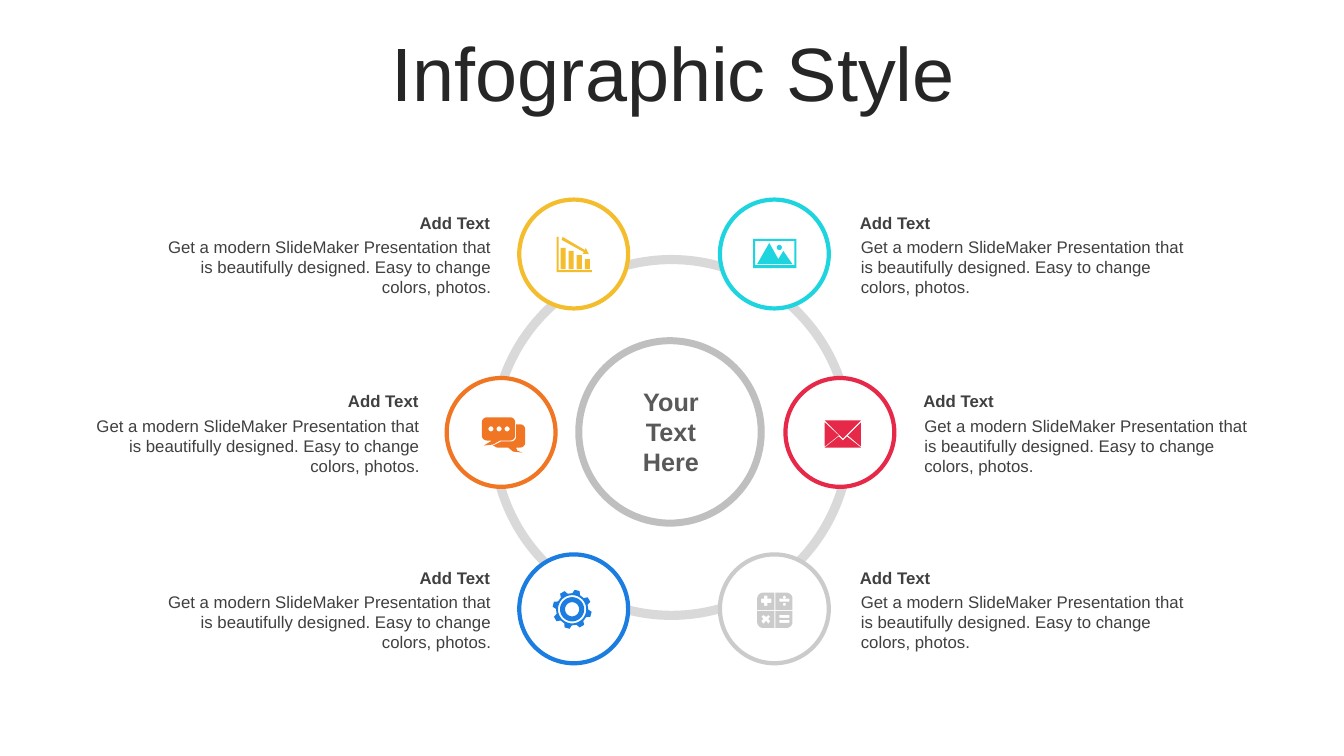
from math import cos, radians, sin

from pptx import Presentation
from pptx.dml.color import RGBColor
from pptx.enum.shapes import MSO_SHAPE
from pptx.enum.text import MSO_ANCHOR, MSO_AUTO_SIZE, PP_ALIGN
from pptx.util import Pt

PX = 9144
OVAL, DONUT = MSO_SHAPE.OVAL, MSO_SHAPE.DONUT
LEFT, CENTER, RIGHT = PP_ALIGN.LEFT, PP_ALIGN.CENTER, PP_ALIGN.RIGHT
TOP, MIDDLE = MSO_ANCHOR.TOP, MSO_ANCHOR.MIDDLE
GROW, FIXED = MSO_AUTO_SIZE.SHAPE_TO_FIT_TEXT, MSO_AUTO_SIZE.NONE

WHITE = RGBColor(0xFF, 0xFF, 0xFF)
TITLE_INK = RGBColor(0x26, 0x26, 0x26)
BODY_INK = RGBColor(0x40, 0x40, 0x40)
HUB_INK = RGBColor(0x59, 0x59, 0x59)
HUB_EDGE = RGBColor(0xBF, 0xBF, 0xBF)
RING = RGBColor(0xD9, 0xD9, 0xD9)
YELLOW = RGBColor(0xF4, 0xBD, 0x2D)
CYAN = RGBColor(0x1E, 0xD4, 0xDE)
BLUE = RGBColor(0x1C, 0x7D, 0xE1)
GREY = RGBColor(0xCB, 0xCB, 0xCB)
ORANGE = RGBColor(0xF0, 0x76, 0x24)
RED = RGBColor(0xE6, 0x29, 0x49)

BADGE_SIZE = 108
HEADING = "Add Text"
DETAIL = ("Get a modern SlideMaker Presentation that is beautifully designed. "
          "Easy to change colors, photos.")


def arc(cx, cy, radius, start, end, steps):
    """Return points along a circular arc, angles in degrees."""
    angles = [radians(start + (end - start) * i / steps) for i in range(steps + 1)]
    return [(cx + radius * cos(a), cy + radius * sin(a)) for a in angles]


def circle(cx, cy, radius):
    """Return a closed circle as points."""
    return arc(cx, cy, radius, 0, 360, 48)[:-1]


def box(left, top, right, bottom):
    """Return the four corners of a rectangle."""
    return [(left, top), (right, top), (right, bottom), (left, bottom)]


def round_box(left, top, right, bottom, radii):
    """Return a rectangle with its own radius at each corner, clockwise from top left."""
    points = []
    signs = [(1, 1), (-1, 1), (-1, -1), (1, -1)]
    for i, ((x, y), (sx, sy), r) in enumerate(zip(box(left, top, right, bottom), signs, radii)):
        start = 180 + 90 * i
        points += arc(x + sx * r, y + sy * r, r, start, start + 90, 8) if r else [(x, y)]
    return points


def envelope():
    """Return the contours of the mail icon."""
    return [[(840, 433), (854, 444), (818, 444), (832, 433), (836, 437)],
            [(854, 419), (854, 443), (841, 432)],
            [(818, 419), (832, 432), (818, 443)],
            [(818, 417), (854, 417), (836, 435)]]


def falling_chart():
    """Return the contours of the falling bar chart icon."""
    bars = [box(556 + 8 * i, top, 561 + 8 * i, 267)
            for i, top in enumerate((246, 249, 253, 257))]
    arrow = [(558, 235), (580, 248), (581, 246), (584, 252),
             (578, 252), (579, 250), (557, 238)]
    axes = [(552, 235), (554, 235), (554, 268), (587, 268), (587, 270), (552, 270)]
    return bars + [arrow, axes]


def calculator():
    """Return the contours of the calculator icon."""
    keys = [round_box(751, 588, 768, 605, (6, 0, 0, 0)),
            round_box(769, 588, 786, 605, (0, 6, 0, 0)),
            round_box(769, 606, 786, 623, (0, 0, 6, 0)),
            round_box(751, 606, 768, 623, (0, 0, 0, 6))]
    plus = [(758, 591), (761, 591), (761, 594), (765, 594), (765, 598), (761, 598),
            (761, 601), (758, 601), (758, 598), (755, 598), (755, 594), (758, 594)]
    times = [(757, 610), (760, 612), (762, 610), (764, 612), (762, 614), (764, 616),
             (762, 619), (760, 616), (757, 619), (755, 616), (757, 614), (755, 612)]
    bars = [box(773, top, 783, top + 3) for top in (594, 610, 615)]
    dots = [circle(778, y, 1.5) for y in (592.5, 599.5)]
    return keys + [plus, times] + bars + dots


def chat():
    """Return the contours of the speech bubbles icon."""
    front = round_box(478, 414, 511, 437, (5, 5, 5, 5))
    front_tail = [(496, 437), (489, 441), (480, 442), (488, 437)]
    back = ([(512, 421)] + arc(516, 426, 5, -90, 0, 8) + arc(516, 439, 5, 0, 90, 8)
            + [(512, 444), (513, 447), (518, 449), (509, 448), (504, 444),
               (493, 444), (489, 442), (497, 438), (508, 438)]
            + arc(507, 433, 5, 90, 0, 8))
    dots = [circle(x, 425.5, 2.5) for x in (487, 495, 503)]
    return [front[:-9] + front_tail + front[-9:], back] + dots


def gear():
    """Return the contours of the eight-toothed gear icon."""
    cx, cy = 567.5, 604.5
    teeth = []
    for i in range(8):
        for turn, radius in ((-14, 16), (-7.5, 19.5), (7.5, 19.5), (14, 16)):
            angle = radians(45 * i - 75 + turn)
            teeth.append((cx + radius * cos(angle), cy + radius * sin(angle)))
    return [teeth] + [circle(cx, cy, radius) for radius in (14, 12, 7)]


def photo():
    """Return the contours of the framed landscape icon."""
    peaks = [(763, 241), (772, 257), (777, 249), (786, 262), (751, 262)]
    return [circle(773, 245.5, 2.5), peaks,
            box(749, 239, 788, 263), box(747, 237, 790, 266)]


def add_icon(slide, contours, color):
    """Draw all contours of an icon as one filled freeform."""
    outlines = [[(x * PX, y * PX) for x, y in contour] for contour in contours]
    builder = slide.shapes.build_freeform(*outlines[0][0], scale=1)
    builder.add_line_segments(outlines[0][1:], close=True)
    for outline in outlines[1:]:
        builder.move_to(*outline[0])
        builder.add_line_segments(outline[1:], close=True)
    icon = builder.convert_to_shape()
    icon.shadow.inherit = False
    icon.fill.solid()
    icon.fill.fore_color.rgb = color
    icon.line.fill.background()


def add_round(slide, kind, left, top, size, fill, edge=None, weight=0):
    """Add a circular shape, outlined if an edge colour is given."""
    disc = slide.shapes.add_shape(kind, left * PX, top * PX, size * PX, size * PX)
    disc.shadow.inherit = False
    disc.fill.solid()
    disc.fill.fore_color.rgb = fill
    if edge is None:
        disc.line.fill.background()
    else:
        disc.line.color.rgb = edge
        disc.line.width = Pt(weight)
    return disc


def add_label(slide, bounds, text, size, color, align, bold=False, anchor=TOP, fit=GROW):
    """Add a wrapped text box with one style and return its paragraphs."""
    frame = slide.shapes.add_textbox(*(v * PX for v in bounds)).text_frame
    frame.word_wrap = True
    frame.auto_size = fit
    frame.vertical_anchor = anchor
    frame.text = text
    for paragraph in frame.paragraphs:
        paragraph.alignment = align
        for run in paragraph.runs:
            run.font.name = "Arial"
            run.font.size = Pt(size)
            run.font.bold = bold
            run.font.color.rgb = color
    return frame.paragraphs


def add_station(slide, badge_left, top, text_left, color, contours):
    """Add a badge on the ring with its icon, heading and detail."""
    add_round(slide, OVAL, badge_left, top, BADGE_SIZE, WHITE, color, 3)
    add_icon(slide, contours, color)
    align, width = (RIGHT, 349) if text_left < badge_left else (LEFT, 354)
    add_label(slide, (text_left, top + 8, width, 30), HEADING, 12, BODY_INK, align, bold=True)
    add_label(slide, (text_left + 1, top + 32, width, 71), DETAIL, 12, BODY_INK, align)


def main():
    """Build the slide and save it."""
    deck = Presentation()
    deck.slide_width, deck.slide_height = 1333 * PX, 750 * PX
    slide = deck.slides.add_slide(deck.slide_layouts[6])

    title = add_label(slide, (35, 37, 1266, 79), "Infographic Style", 54, TITLE_INK,
                      CENTER, anchor=MIDDLE, fit=FIXED)
    title[0].line_spacing = 0.9

    add_round(slide, OVAL, 574, 338, 181, WHITE, HUB_EDGE, 5)
    add_label(slide, (618, 378, 95, 101), "Your\nText\nHere", 18, HUB_INK, CENTER, bold=True)
    ring = add_round(slide, DONUT, 485, 253, 362, RING)
    ring.adjustments[0] = 0.025

    stations = [(515, 198, 147, YELLOW, falling_chart()),
                (714, 198, 843, CYAN, photo()),
                (443, 375, 76, ORANGE, chat()),
                (779, 375, 906, RED, envelope()),
                (515, 550, 147, BLUE, gear()),
                (714, 550, 843, GREY, calculator())]
    for station in stations:
        add_station(slide, *station)
    deck.save("out.pptx")


if __name__ == "__main__":
    main()
